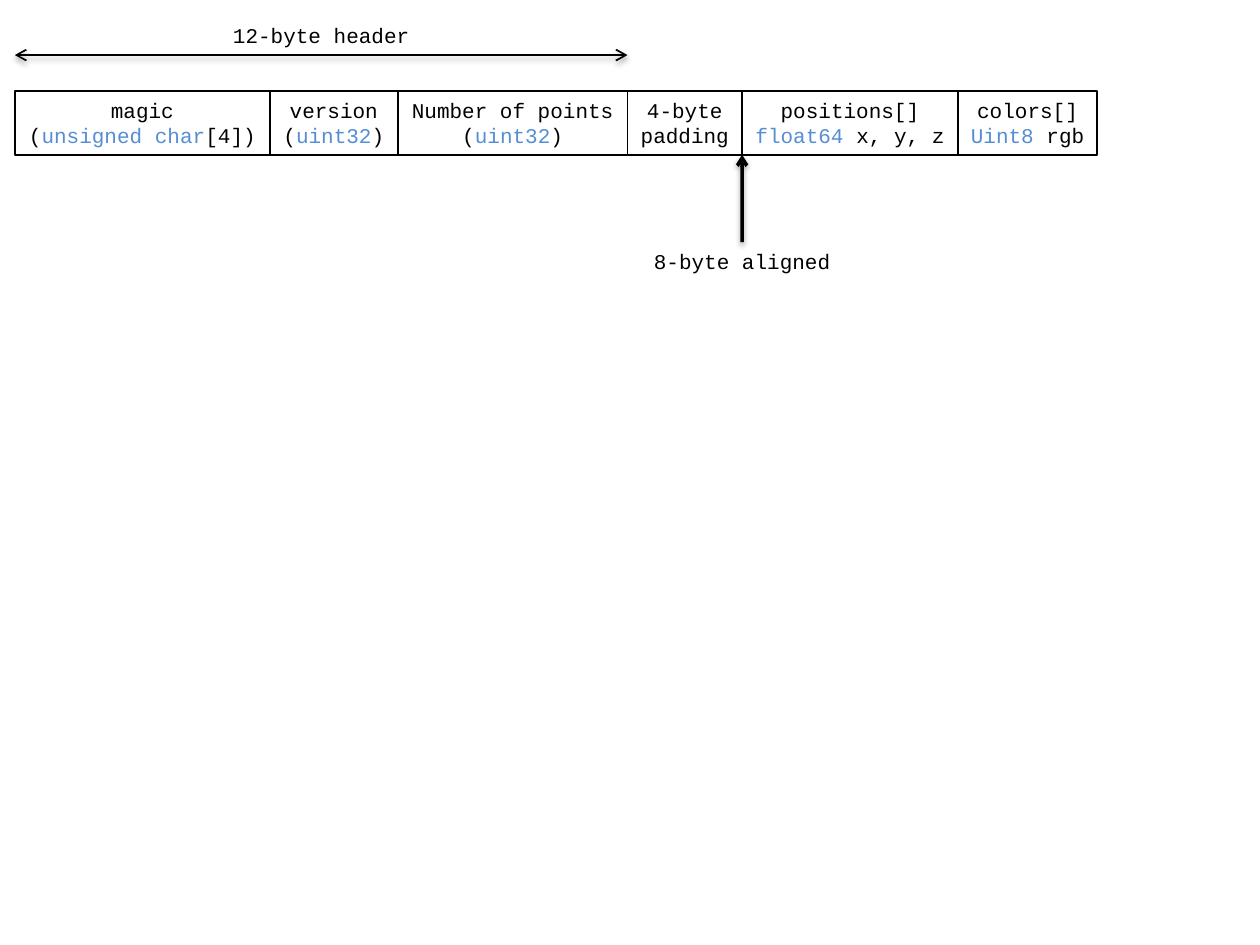
import pptx
import pptx.dml.color
import pptx.enum.shapes
import pptx.enum.text
import pptx.oxml
import pptx.oxml.ns
import pptx.util
from pptx.util import Cm

COLORS = {"ink": "000000", "type": "558ED5"}
FONT = "Courier New"

# Each field: width in cm, then lines made of (text, color) runs
FIELDS = [
    (5.14, [[("magic", "ink")],
            [("(", "ink"), ("unsigned char", "type"), ("[4])", "ink")]]),
    (2.58, [[("version", "ink")],
            [("(", "ink"), ("uint32", "type"), (")", "ink")]]),
    (4.63, [[("Number of points", "ink")],
            [("(", "ink"), ("uint32", "type"), (")", "ink")]]),
    (2.31, [[("4-byte", "ink")], [("padding", "ink")]]),
    (4.35, [[("positions[]", "ink")],
            [("float64 ", "type"), ("x, y, z", "ink")]]),
    (2.81, [[("colors[]", "ink")],
            [("Uint8", "type"), (" rgb", "ink")]]),
]
HEADER_FIELDS = 3
ALIGNED_FIELD = 4
HEADER_LABEL = "12-byte header"
ALIGNED_LABEL = "8-byte aligned"

# Layout in cm
LEFT, FIELD_TOP, FIELD_HEIGHT = 0.3, 1.84, 1.28
HEADER_ARROW_Y, HEADER_LABEL_TOP, ALIGNED_LABEL_TOP = 1.11, 0.33, 4.88
LABEL_WIDTH, LABEL_HEIGHT = 4.12, 0.77

SHADOW = (
    f'<a:effectLst {pptx.oxml.ns.nsdecls("a")}>'
    '<a:outerShdw blurRad="40000" dist="20000" dir="5400000" rotWithShape="0">'
    '<a:srgbClr val="000000"><a:alpha val="38000"/></a:srgbClr>'
    '</a:outerShdw></a:effectLst>'
)


def rgb(name):
    return pptx.dml.color.RGBColor.from_string(COLORS[name])


def write_lines(shape, lines):
    text_frame = shape.text_frame
    text_frame.word_wrap = False
    text_frame.auto_size = pptx.enum.text.MSO_AUTO_SIZE.SHAPE_TO_FIT_TEXT
    for index, parts in enumerate(lines):
        paragraph = text_frame.add_paragraph() if index else text_frame.paragraphs[0]
        paragraph.alignment = pptx.enum.text.PP_ALIGN.CENTER
        for text, color in parts:
            run = paragraph.add_run()
            run.text = text
            run.font.name = FONT
            run.font.size = pptx.util.Pt(12)
            run.font.color.rgb = rgb(color)


def add_field(slide, left, width, lines):
    shape = slide.shapes.add_shape(
        pptx.enum.shapes.MSO_SHAPE.RECTANGLE,
        Cm(left), Cm(FIELD_TOP), Cm(width), Cm(FIELD_HEIGHT))
    shape.shadow.inherit = False
    shape.fill.background()
    shape.line.color.rgb = rgb("ink")
    shape.line.width = pptx.util.Pt(1)
    write_lines(shape, lines)


def add_label(slide, center, top, text):
    label = slide.shapes.add_textbox(
        Cm(center - LABEL_WIDTH / 2), Cm(top), Cm(LABEL_WIDTH), Cm(LABEL_HEIGHT))
    write_lines(label, [[(text, "ink")]])
    return label


def add_arrow(slide, start, end, width, ends):
    arrow = slide.shapes.add_connector(
        pptx.enum.shapes.MSO_CONNECTOR.STRAIGHT,
        *(Cm(value) for value in start + end))
    arrow.line.color.rgb = rgb("ink")
    arrow.line.width = pptx.util.Pt(width)
    line = arrow.line._get_or_add_ln()
    for name in ends:
        line.append(pptx.oxml.parse_xml(
            f'<a:{name} {pptx.oxml.ns.nsdecls("a")} type="arrow"/>'))
    arrow._element.spPr.append(pptx.oxml.parse_xml(SHADOW))
    return arrow


def main():
    presentation = pptx.Presentation()
    presentation.slide_width, presentation.slide_height = Cm(25.4), Cm(19.05)
    slide = presentation.slides.add_slide(presentation.slide_layouts[6])

    # Row of fields, each starting where the last one ends
    edges = [LEFT]
    for width, lines in FIELDS:
        add_field(slide, edges[-1], width, lines)
        edges.append(edges[-1] + width)

    # Header span
    header_end = edges[HEADER_FIELDS]
    add_arrow(slide, (LEFT, HEADER_ARROW_Y), (header_end, HEADER_ARROW_Y),
              1, ["headEnd", "tailEnd"])
    add_label(slide, (LEFT + header_end) / 2, HEADER_LABEL_TOP, HEADER_LABEL)

    # Alignment marker
    aligned_x = edges[ALIGNED_FIELD]
    label = add_label(slide, aligned_x, ALIGNED_LABEL_TOP, ALIGNED_LABEL)
    arrow = add_arrow(slide, (aligned_x, ALIGNED_LABEL_TOP),
                      (aligned_x, FIELD_TOP + FIELD_HEIGHT), 2, ["tailEnd"])
    arrow.begin_connect(label, 0)

    presentation.save("out.pptx")


if __name__ == "__main__":
    main()
